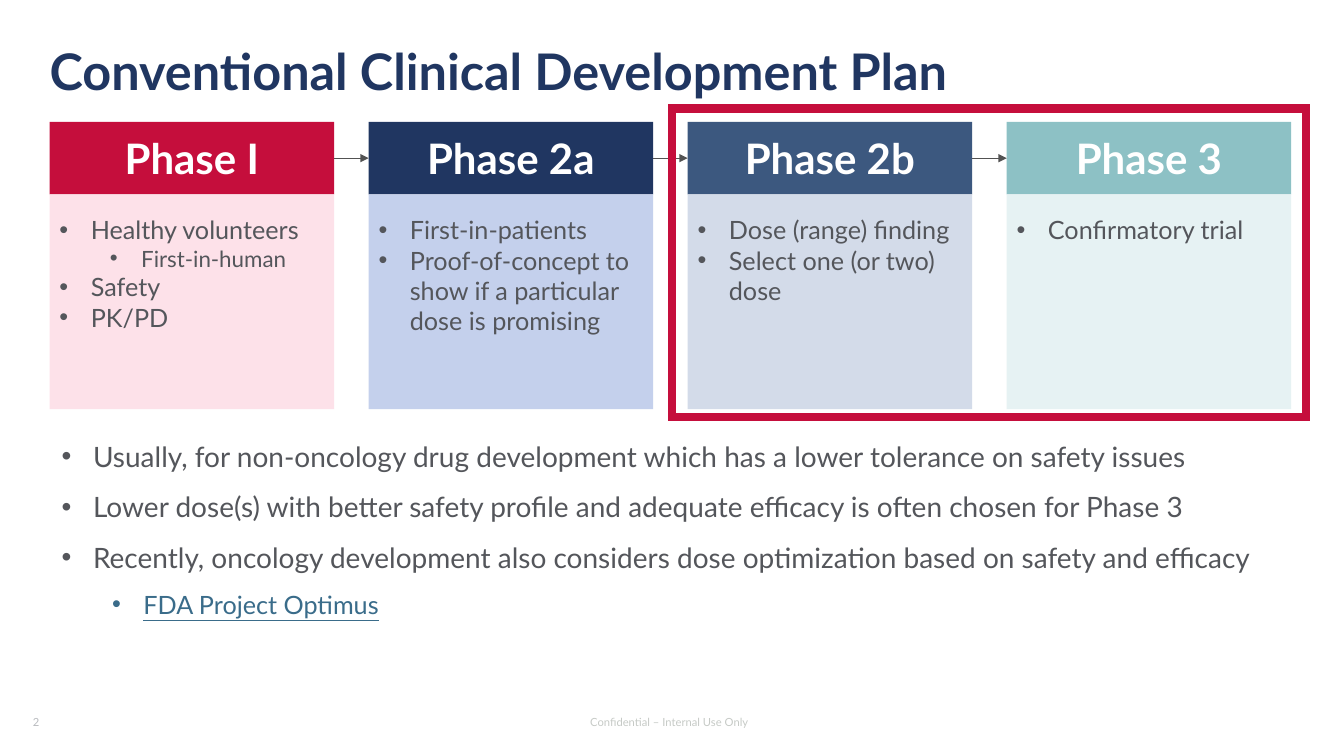
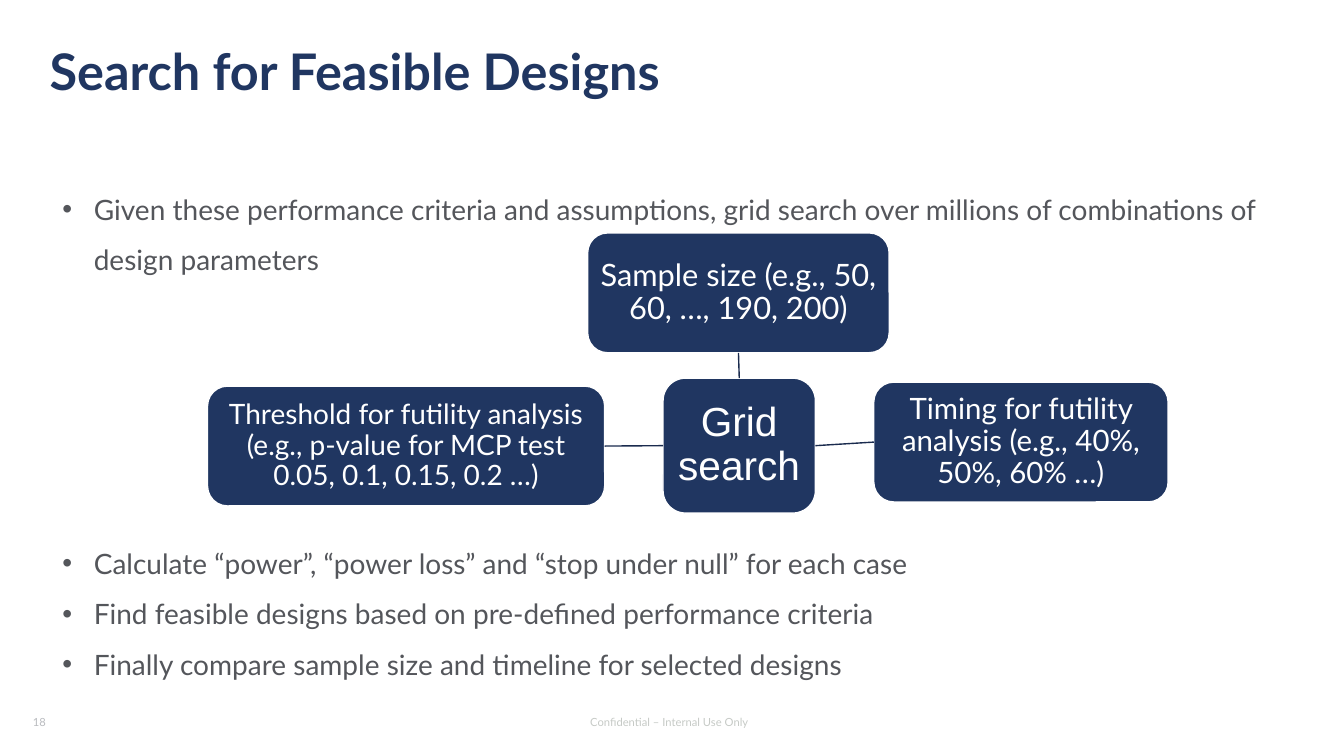
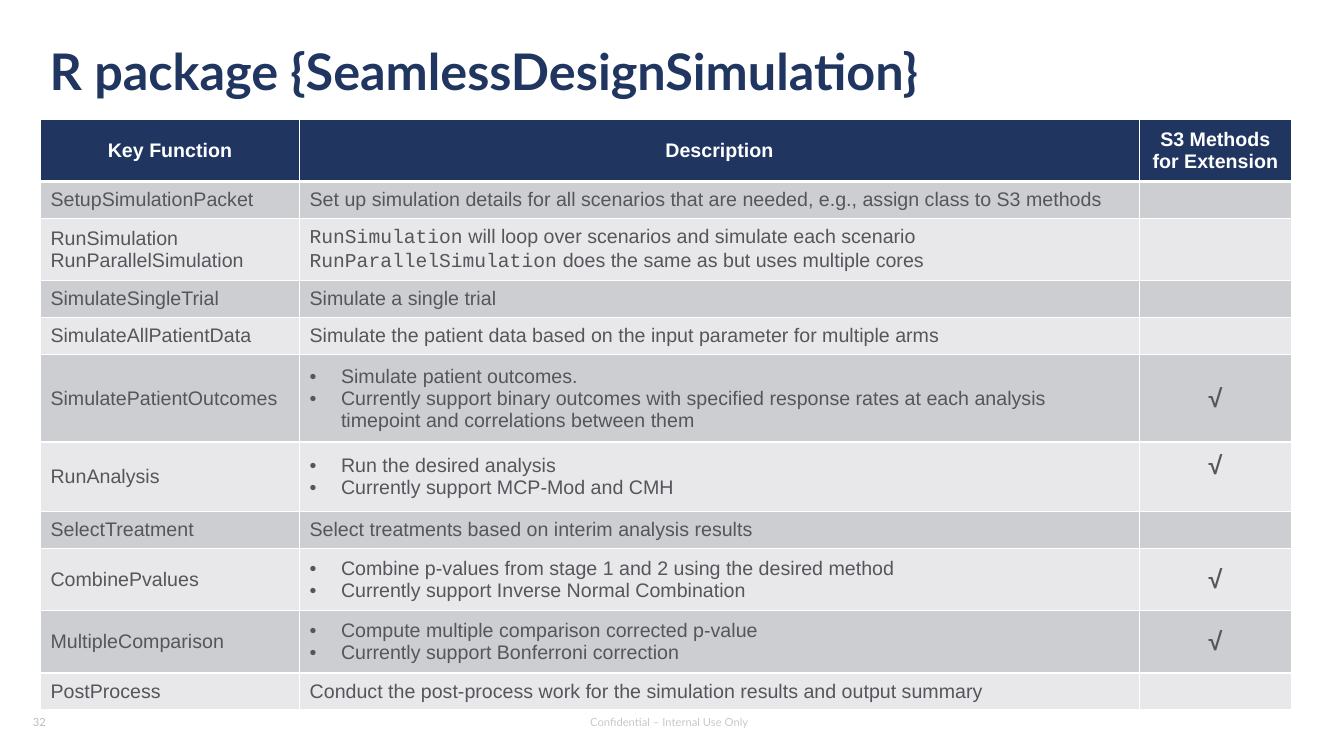
"""Build three slides on clinical development phases, design search and an R package."""
from lxml import etree
from pptx import Presentation
from pptx.dml.color import RGBColor
from pptx.enum.shapes import MSO_CONNECTOR, MSO_SHAPE, MSO_SHAPE_TYPE
from pptx.enum.text import MSO_ANCHOR, MSO_AUTO_SIZE, PP_ALIGN
from pptx.oxml.ns import qn
from pptx.util import Cm, Pt

LEFT, CENTER = PP_ALIGN.LEFT, PP_ALIGN.CENTER
TOP, MIDDLE = MSO_ANCHOR.TOP, MSO_ANCHOR.MIDDLE
RECT, ROUNDED = MSO_SHAPE.RECTANGLE, MSO_SHAPE.ROUNDED_RECTANGLE
STRAIGHT = MSO_CONNECTOR.STRAIGHT
AUTO_SHAPE, LINE = MSO_SHAPE_TYPE.AUTO_SHAPE, MSO_SHAPE_TYPE.LINE
NO_FIT = MSO_AUTO_SIZE.NONE
SITE_TOP, SITE_LEFT, SITE_BOTTOM, SITE_RIGHT = range(4)

HEX = {
    "navy": "203661", "text": "54565B", "white": "FFFFFF", "red": "C50E3C",
    "pink": "FDE1E9", "pale blue": "C4D0EC", "steel": "3C587F",
    "pale steel": "D3DBE9", "teal": "8DC1C5", "pale teal": "E6F2F3",
    "arrow": "525252", "spoke": "1A2B4E", "link": "3A6C8A",
    "footer": "C6CAC6", "number": "B9BBBF",
    "dark row": "CDCED2", "light row": "E8E8EA",
}
COLOR = {name: RGBColor.from_string(value) for name, value in HEX.items()}
SUB_ITEMS = {"First-in-human", "FDA Project Optimus"}


def write(frame, lines, size, color="text", font="Lato", bold=False,
          align=LEFT, bullet=False, spacing=1.0):
    """Fill a text frame; sub-items are indented, text in backticks is code."""
    frame.word_wrap = True
    for index, line in enumerate(lines):
        paragraph = frame.add_paragraph() if index else frame.paragraphs[0]
        level = int(line in SUB_ITEMS)
        for part, text in enumerate(line.split("`")):
            if text:
                run = paragraph.add_run()
                run.text = text
                if part % 2:
                    run.font.name = "Courier New"
        if bullet:
            paragraph.level = level
            properties = paragraph._p.get_or_add_pPr()
            properties.set("marL", str(int(Cm(0.79 + 1.27 * level))))
            properties.set("indent", str(int(Cm(-0.79))))
            etree.SubElement(properties, qn("a:buFont"), typeface="Arial")
            etree.SubElement(properties, qn("a:buChar"), char="•")
        paragraph.alignment = align
        paragraph.line_spacing = spacing
        paragraph.space_before = paragraph.space_after = Pt(0)
        paragraph.font.size = Pt(size - 2 * level)
        paragraph.font.name = font
        paragraph.font.bold = bold
        paragraph.font.color.rgb = COLOR[color]


def new_slide(layout, heading, number):
    """Add a slide with its title, page number and footer."""
    slide = prs.slides.add_slide(prs.slide_layouts[layout])
    title = slide.shapes.title
    title.left, title.top, title.width, title.height = Cm(1.25), Cm(1.19), Cm(31.3), Cm(1.35)
    frame = title.text_frame
    frame.margin_left = frame.margin_right = frame.margin_top = frame.margin_bottom = 0
    frame.vertical_anchor = TOP
    frame.auto_size = NO_FIT
    write(frame, [heading], 36, "navy", bold=True, spacing=0.9)
    for text, left, color, align in (
        ("Confidential – Internal Use Only", 13.06, "footer", CENTER),
        (number, 0.58, "number", LEFT),
    ):
        note = slide.shapes.add_textbox(Cm(left), Cm(17.78), Cm(7.62), Cm(0.81))
        note.text_frame.vertical_anchor = MIDDLE
        write(note.text_frame, [text], 8, color, align=align)
    return slide


prs = Presentation()
prs.slide_width, prs.slide_height = Cm(33.87), Cm(19.05)

plan = new_slide(1, "Conventional Clinical Development Plan", "2")
remarks = plan.placeholders[1]
remarks.left, remarks.top, remarks.width, remarks.height = Cm(1.3), Cm(10.52), Cm(31.3), Cm(5.1)
remarks.text_frame.auto_size = NO_FIT
write(remarks.text_frame, [
    "Usually, for non-oncology drug development which has a lower tolerance on safety issues",
    "Lower dose(s) with better safety profile and adequate efficacy is often chosen for Phase 3",
    "Recently, oncology development also considers dose optimization based on safety and efficacy",
    "FDA Project Optimus",
], 20, bullet=True, spacing=1.5)
project = remarks.text_frame.paragraphs[-1]
project.font.underline = True
project.font.color.rgb = COLOR["link"]

phases = [
    ("Phase I", "red", "pink",
     ["Healthy volunteers", "First-in-human", "Safety", "PK/PD"]),
    ("Phase 2a", "navy", "pale blue",
     ["First-in-patients", "Proof-of-concept to show if a particular dose is promising"]),
    ("Phase 2b", "steel", "pale steel",
     ["Dose (range) finding", "Select one (or two) dose"]),
    ("Phase 3", "teal", "pale teal", ["Confirmatory trial"]),
]
phase_heads = []
for column, (phase, head_fill, goals_fill, goals) in enumerate(phases):
    left = Cm(1.25 + 8.04 * column)
    head = plan.shapes.add_shape(RECT, left, Cm(3.07), Cm(7.17), Cm(1.83))
    panel = plan.shapes.add_shape(RECT, left, Cm(4.9), Cm(7.17), Cm(5.41))
    for box, fill in ((head, head_fill), (panel, goals_fill)):
        box.fill.solid()
        box.fill.fore_color.rgb = COLOR[fill]
        box.line.fill.background()
    write(head.text_frame, [phase], 30, "white", bold=True, align=CENTER)
    panel.text_frame.vertical_anchor = TOP
    panel.text_frame.margin_top = Cm(0.51)
    write(panel.text_frame, goals, 18, bullet=True)
    phase_heads.append(head)

for earlier, later in zip(phase_heads, phase_heads[1:]):
    arrow = plan.shapes.add_connector(STRAIGHT, 0, 0, 0, 0)
    arrow.begin_connect(earlier, SITE_RIGHT)
    arrow.end_connect(later, SITE_LEFT)
    arrow.line.color.rgb = COLOR["arrow"]
    arrow.line.width = Pt(0.75)
    outline = arrow._element.spPr.find(qn("a:ln"))
    etree.SubElement(outline, qn("a:tailEnd"), type="triangle")

highlight = plan.shapes.add_shape(RECT, Cm(16.94), Cm(2.74), Cm(15.98), Cm(7.77))
highlight.fill.background()
highlight.line.color.rgb = COLOR["red"]
highlight.line.width = Pt(6)
outline = highlight._element.spPr.find(qn("a:ln"))
etree.SubElement(outline, qn("a:miter"), lim="800000")

search = new_slide(1, "Search for Feasible Designs", "18")
steps = search.placeholders[1]
steps.left, steps.top, steps.width, steps.height = Cm(1.32), Cm(4.29), Cm(31.27), Cm(12.93)
steps.text_frame.auto_size = NO_FIT
write(steps.text_frame, [
    "Given these performance criteria and assumptions, grid search over millions of "
    "combinations of design parameters",
    "Calculate “power”, “power loss” and “stop under null” for each case",
    "Find feasible designs based on pre-defined performance criteria",
    "Finally compare sample size and timeline for selected designs",
], 20, bullet=True, spacing=1.5)
steps.text_frame.paragraphs[1].space_before = Pt(181)

nodes = [
    ("Grid search", 16.71, 9.53, 3.84, 3.4, 29, "Arial"),
    ("Sample size (e.g., 50, 60, …, 190, 200)", 14.81, 5.87, 7.6, 3.02, 22, "Lato"),
    ("Timing for futility analysis (e.g., 40%, 50%, 60% …)",
     22.02, 9.63, 7.42, 3.02, 21, "Lato"),
    ("Threshold for futility analysis (e.g., p-value for MCP test 0.05, 0.1, 0.15, 0.2 …)",
     5.23, 9.73, 10.01, 3.02, 20, "Lato"),
]
node_boxes = []
for label, left, top, width, height, size, font in nodes:
    node = search.shapes.add_shape(ROUNDED, Cm(left), Cm(top), Cm(width), Cm(height))
    node.fill.solid()
    node.fill.fore_color.rgb = COLOR["navy"]
    node.line.color.rgb = COLOR["white"]
    node.line.width = Pt(1)
    frame = node.text_frame
    frame.margin_left = frame.margin_right = frame.margin_top = frame.margin_bottom = Cm(0.1)
    write(frame, [label], size, "white", font, align=CENTER, spacing=0.9)
    node_boxes.append(node)

hub, *parameters = node_boxes
sites = [(SITE_TOP, SITE_BOTTOM), (SITE_RIGHT, SITE_LEFT), (SITE_LEFT, SITE_RIGHT)]
for parameter, (hub_site, parameter_site) in zip(parameters, sites):
    spoke = search.shapes.add_connector(STRAIGHT, 0, 0, 0, 0)
    spoke.begin_connect(hub, hub_site)
    spoke.end_connect(parameter, parameter_site)
    spoke.line.color.rgb = COLOR["spoke"]
    spoke.line.width = Pt(1)

package_slide = new_slide(5, "R package {SeamlessDesignSimulation}", "32")
header = (1.57, ["Key Function"], ["Description"], ["S3 Methods", "for Extension"])
functions = [
    (0.93, ["SetupSimulationPacket"],
     ["Set up simulation details for all scenarios that are needed, "
      "e.g., assign class to S3 methods"], []),
    (1.57, ["RunSimulation", "RunParallelSimulation"],
     ["`RunSimulation` will loop over scenarios and simulate each scenario",
      "`RunParallelSimulation` does the same as but uses multiple cores"], []),
    (0.93, ["SimulateSingleTrial"], ["Simulate a single trial"], []),
    (0.93, ["SimulateAllPatientData"],
     ["Simulate the patient data based on the input parameter for multiple arms"], []),
    (2.21, ["SimulatePatientOutcomes"],
     ["Simulate patient outcomes.",
      "Currently support binary outcomes with specified response rates at each "
      "analysis timepoint and correlations between them"], ["√"]),
    (1.75, ["RunAnalysis"],
     ["Run the desired analysis", "Currently support MCP-Mod and CMH"], ["√"]),
    (0.93, ["SelectTreatment"], ["Select treatments based on interim analysis results"], []),
    (1.57, ["CombinePvalues"],
     ["Combine p-values from stage 1 and 2 using the desired method",
      "Currently support Inverse Normal Combination"], ["√"]),
    (1.57, ["MultipleComparison"],
     ["Compute multiple comparison corrected p-value",
      "Currently support Bonferroni correction"], ["√"]),
    (0.93, ["PostProcess"],
     ["Conduct the post-process work for the simulation results and output summary"], []),
]
rows = [header, *functions]
column_widths = (6.53, 21.16, 3.84)
table = package_slide.shapes.add_table(
    len(rows), len(column_widths), Cm(1.02), Cm(3), Cm(sum(column_widths)),
    Cm(sum(row[0] for row in rows))).table
for column, width in zip(table.columns, column_widths):
    column.width = Cm(width)

for r, (height, *contents) in enumerate(rows):
    table.rows[r].height = Cm(height)
    is_header = r == 0
    fill = "navy" if is_header else ("light row", "dark row")[r % 2]
    extensible = not is_header and bool(contents[2])
    for c, lines in enumerate(contents):
        cell = table.cell(r, c)
        cell.vertical_anchor = MIDDLE
        is_mark = extensible and c == 2
        if lines:
            write(cell.text_frame, lines, 18 if is_mark else 14,
                  "white" if is_header else "text", "Arial",
                  bold=is_header or is_mark,
                  align=CENTER if is_header or is_mark else LEFT,
                  bullet=extensible and c == 1)
        else:
            cell.margin_top = cell.margin_bottom = 0
        if is_mark and contents[0] == ["RunAnalysis"]:
            cell.margin_bottom = Cm(0.69)
        for side in ("lnL", "lnR", "lnT", "lnB"):
            thick = (is_header and side == "lnB") or (r == 1 and side == "lnT")
            border = etree.SubElement(cell._tc.get_or_add_tcPr(), qn("a:" + side),
                                      w=str(int(Pt(3 if thick else 1))))
            paint = etree.SubElement(border, qn("a:solidFill"))
            etree.SubElement(paint, qn("a:srgbClr"), val=HEX["white"])
        cell.fill.solid()
        cell.fill.fore_color.rgb = COLOR[fill]

for slide in prs.slides:
    for shape in slide.shapes:
        if shape.shape_type == AUTO_SHAPE:
            shape.shadow.inherit = False
        elif shape.shape_type == LINE:
            etree.SubElement(shape._element.spPr, qn("a:effectLst"))

prs.save("out.pptx")
